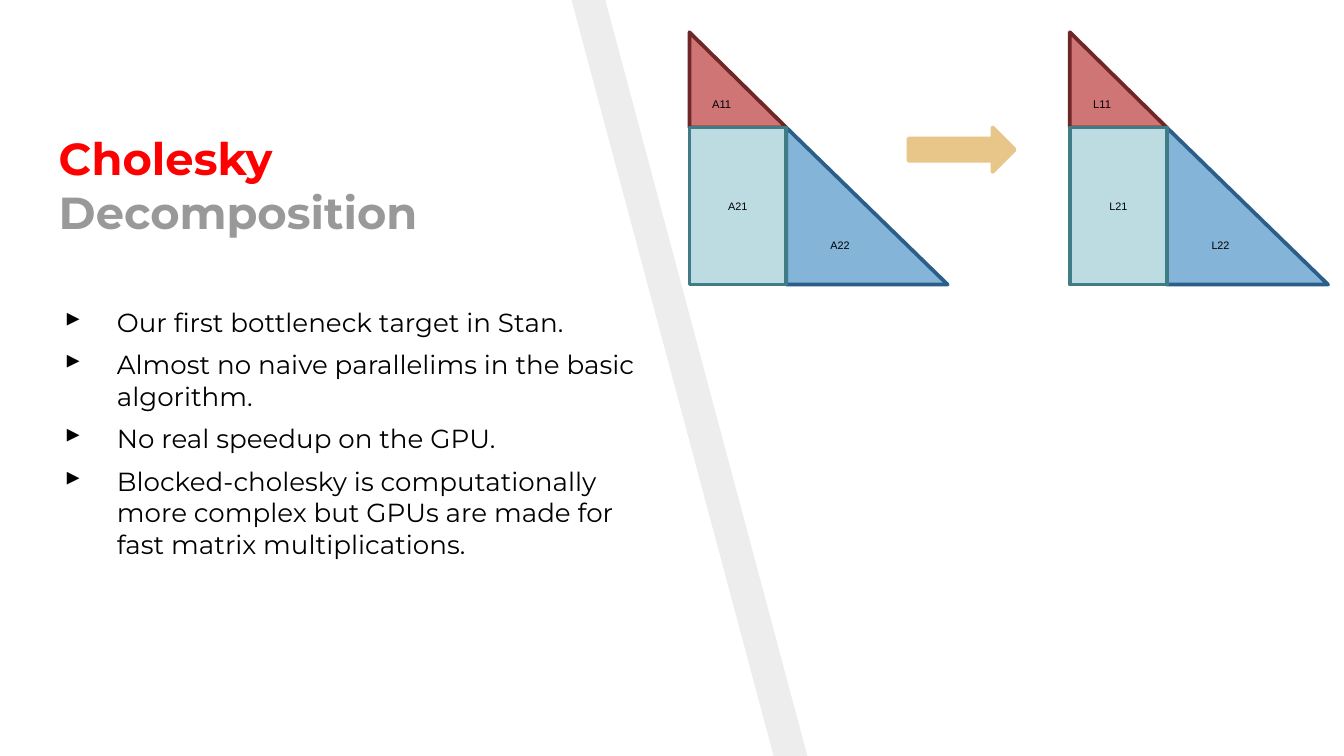
from lxml import etree
from pptx import Presentation
from pptx import util as u
from pptx.dml.color import RGBColor
from pptx.enum import shapes, text
from pptx.oxml import ns

Cm, Pt = u.Cm, u.Pt
KIND, ALIGN, ANCHOR = shapes.MSO_SHAPE, text.PP_ALIGN, text.MSO_ANCHOR

theme = {
    "head": "Montserrat", "label": "Arial",
    "title": 24, "body": 14, "corner": 6, "block": 5.8, "line": 2,
    "red": "FF0000", "grey": "999999", "ink": "000000",
    "band": "EDEDED", "white": "FFFFFF",
    "rose": ("D07576", "6F2626"), "blue": ("85B4D9", "2B5F8A"),
    "teal": ("BCDCE1", "407C86"), "sand": ("E8C588", "E8C588"),
}


def write(frame, lines, font, size, colors, bold=False, align=ALIGN.LEFT,
          anchor=ANCHOR.TOP, inset=0.25, gap=0, bullet=None):
    frame.word_wrap = True
    frame.auto_size = text.MSO_AUTO_SIZE.NONE
    frame.vertical_anchor = anchor
    frame.margin_left = frame.margin_right = Cm(inset)
    frame.margin_top = frame.margin_bottom = Cm(inset)
    for i, line in enumerate(lines):
        para = frame.paragraphs[0] if i == 0 else frame.add_paragraph()
        para.text = line
        para.alignment = align
        para.line_spacing = 1.0
        para.space_before = Pt(gap if i else 0)
        if bullet:
            props = para._p.get_or_add_pPr()
            props.set("marL", str(Cm(1.27)))
            props.set("indent", str(Cm(-0.99)))
            mark = etree.SubElement(props, ns.qn("a:buChar"))
            mark.set("char", bullet)
        face = para.runs[0].font
        face.name, face.size, face.bold = font, Pt(size), bold
        face.color.rgb = RGBColor.from_string(colors[i % len(colors)])


def draw(kind, x, y, w, h, paint):
    shape = slide.shapes.add_shape(kind, Cm(x), Cm(y), Cm(w), Cm(h))
    shape.shadow.inherit = False
    shape.fill.solid()
    shape.fill.fore_color.rgb = RGBColor.from_string(paint[0])
    shape.line.color.rgb = RGBColor.from_string(paint[1])
    shape.line.width = Pt(theme["line"])
    etree.SubElement(shape.line._get_or_add_ln(), ns.qn("a:round"))
    return shape


deck = Presentation()
deck.slide_width, deck.slide_height = Cm(25.4), Cm(14.29)
slide = deck.slides.add_slide(deck.slide_layouts[5])
title = slide.shapes.title

for shift, color in ((0.64, theme["band"]), (0, theme["white"])):
    points = [(Cm(x + shift), Cm(y)) for x, y in
              ((0, -0.03), (-0.03, 14.33), (14.63, 14.33), (10.8, 0))]
    path = slide.shapes.build_freeform(*points[0], scale=1.0)
    path.add_line_segments(points[1:], close=True)
    panel = path.convert_to_shape()
    panel.shadow.inherit = False
    panel.fill.solid()
    panel.fill.fore_color.rgb = RGBColor.from_string(color)
    panel.line.fill.background()

slide.shapes._spTree.append(title._element)
title.left, title.top = Cm(0.86), Cm(3.4)
title.width, title.height = Cm(14.78), Cm(1.35)
write(title.text_frame, ["Cholesky", "Decomposition"], theme["head"],
      theme["title"], [theme["red"], theme["grey"]], bold=True,
      anchor=ANCHOR.BOTTOM)

points = [
    "Our first bottleneck target in Stan.",
    "Almost no naive parallelims in the basic algorithm.",
    "No real speedup on the GPU.",
    "Blocked-cholesky is computationally more complex but GPUs are made "
    "for fast matrix multiplications.",
]
body = slide.shapes.add_textbox(Cm(0.69), Cm(5.54), Cm(11.71), Cm(6.27))
write(body.text_frame, points, theme["head"], theme["body"], [theme["ink"]],
      gap=6, bullet="▸")

top, mid = 0.61, 2.41
thin, wide, tall = 1.83, 3.05, 2.97
for name, left in (("A", 13.03), ("L", 20.22)):
    for part, kind, x, y, w, h, paint, size in (
        ("22", KIND.RIGHT_TRIANGLE, left + thin, mid, wide, tall, "blue", "block"),
        ("11", KIND.RIGHT_TRIANGLE, left, top, thin, mid - top, "rose", "corner"),
        ("21", KIND.RECTANGLE, left, mid, thin, tall, "teal", "block"),
    ):
        shape = draw(kind, x, y, w, h, theme[paint])
        write(shape.text_frame, [name + part], theme["label"], theme[size],
              [theme["ink"]], align=ALIGN.CENTER, anchor=ANCHOR.MIDDLE, inset=0)

draw(KIND.RIGHT_ARROW, 17.17, mid, 2.01, 0.84, theme["sand"])

deck.save("out.pptx")
